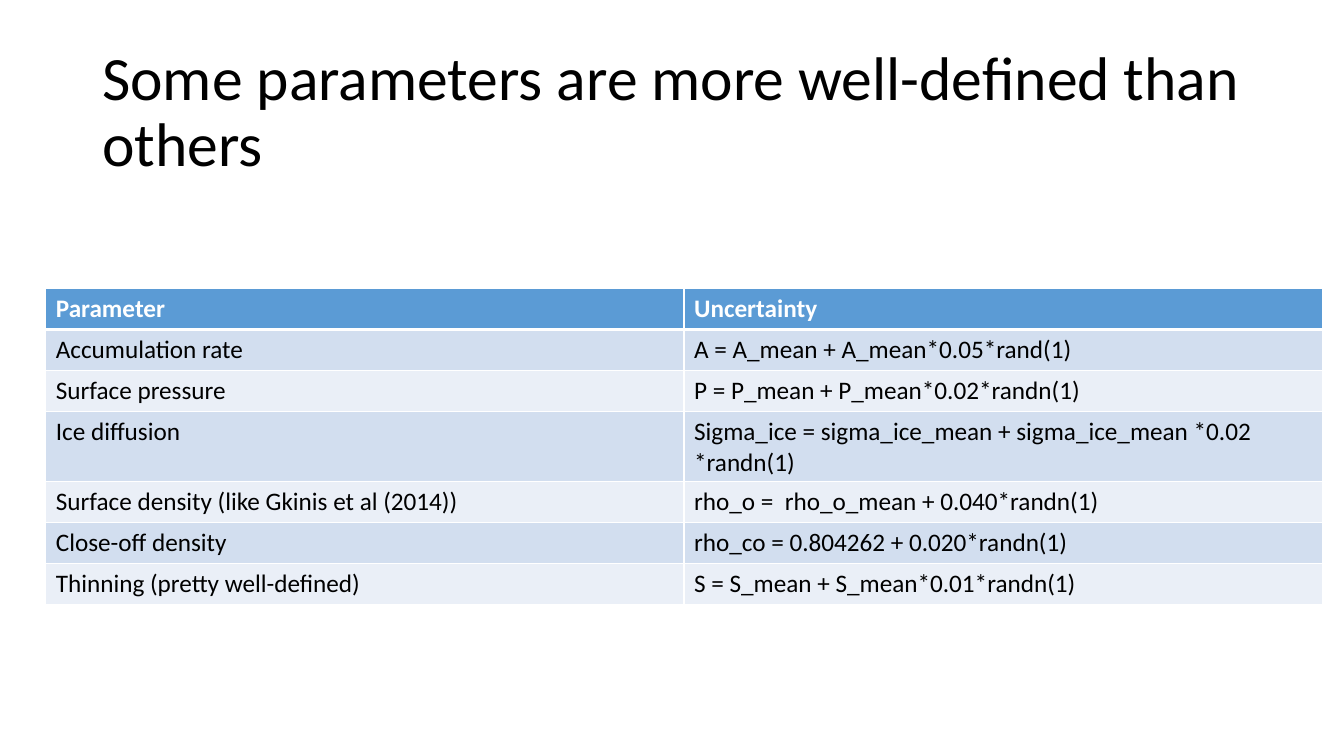
from pptx import Presentation
from pptx.dml.color import RGBColor
from pptx.enum.text import MSO_ANCHOR
from pptx.oxml import parse_xml
from pptx.oxml.ns import nsdecls
from pptx.util import Pt

TITLE = "Some parameters are more well-defined than others"
ROWS = [
    ("Parameter", "Uncertainty"),
    ("Accumulation rate", "A = A_mean + A_mean*0.05*rand(1)"),
    ("Surface pressure", "P = P_mean + P_mean*0.02*randn(1)"),
    ("Ice diffusion", "Sigma_ice = sigma_ice_mean + sigma_ice_mean *0.02\n*randn(1)"),
    ("Surface density (like Gkinis et al (2014))", "rho_o =  rho_o_mean + 0.040*randn(1)"),
    ("Close-off density", "rho_co = 0.804262 + 0.020*randn(1)"),
    ("Thinning (pretty well-defined)", "S = S_mean + S_mean*0.01*randn(1)"),
]

BLACK = RGBColor(0x00, 0x00, 0x00)
WHITE = RGBColor(0xFF, 0xFF, 0xFF)
HEADER_BLUE = RGBColor(0x5B, 0x9B, 0xD5)
BANDS = [RGBColor(0xEA, 0xEF, 0xF7), RGBColor(0xD2, 0xDE, 0xEF)]

TITLE_FORMAT = {"name": "Calibri", "size": Pt(44), "bold": False}
HEADER_FORMAT = {"name": "Calibri", "size": Pt(18), "bold": True}
BODY_FORMAT = {"name": "Calibri", "size": Pt(18), "bold": False}

COLUMN_WIDTH = 455.9
ROW_HEIGHT = 29.2
BORDER_WIDTH = 1
HEADER_RULE_WIDTH = 3


def format_text(text_frame, font_format, color):
    for paragraph in text_frame.paragraphs:
        for run in paragraph.runs:
            for name, value in font_format.items():
                setattr(run.font, name, value)
            run.font.color.rgb = color


def add_borders(cell, widths):
    properties = cell._tc.get_or_add_tcPr()
    for position, (side, width) in enumerate(widths.items()):
        properties.insert(position, parse_xml(
            f'<a:{side} {nsdecls("a")} w="{Pt(width)}"><a:solidFill>'
            f'<a:srgbClr val="{WHITE}"/></a:solidFill></a:{side}>'))


presentation = Presentation()
presentation.slide_width = Pt(960)
presentation.slide_height = Pt(540)
slide = presentation.slides.add_slide(presentation.slide_layouts[6])

title = slide.shapes.add_textbox(Pt(66), Pt(28.75), Pt(828), Pt(104.4)).text_frame
title.word_wrap = True
title.vertical_anchor = MSO_ANCHOR.MIDDLE
title.text = TITLE
title.paragraphs[0].line_spacing = 0.9
format_text(title, TITLE_FORMAT, BLACK)

table = slide.shapes.add_table(
    len(ROWS), len(ROWS[0]), Pt(32.7), Pt(206.2),
    Pt(COLUMN_WIDTH * len(ROWS[0])), Pt(ROW_HEIGHT * len(ROWS))).table
for column in table.columns:
    column.width = Pt(COLUMN_WIDTH)

for row_index, row in enumerate(ROWS):
    table.rows[row_index].height = Pt(ROW_HEIGHT)
    is_header = row_index == 0
    borders = dict.fromkeys(("lnL", "lnR", "lnT", "lnB"), BORDER_WIDTH)
    if is_header:
        borders["lnB"] = HEADER_RULE_WIDTH
    elif row_index == 1:
        borders["lnT"] = HEADER_RULE_WIDTH
    for column_index, text in enumerate(row):
        cell = table.cell(row_index, column_index)
        cell.text = text
        cell.fill.solid()
        cell.fill.fore_color.rgb = HEADER_BLUE if is_header else BANDS[row_index % 2]
        format_text(cell.text_frame, HEADER_FORMAT if is_header else BODY_FORMAT,
                    WHITE if is_header else BLACK)
        add_borders(cell, borders)

presentation.save("out.pptx")
